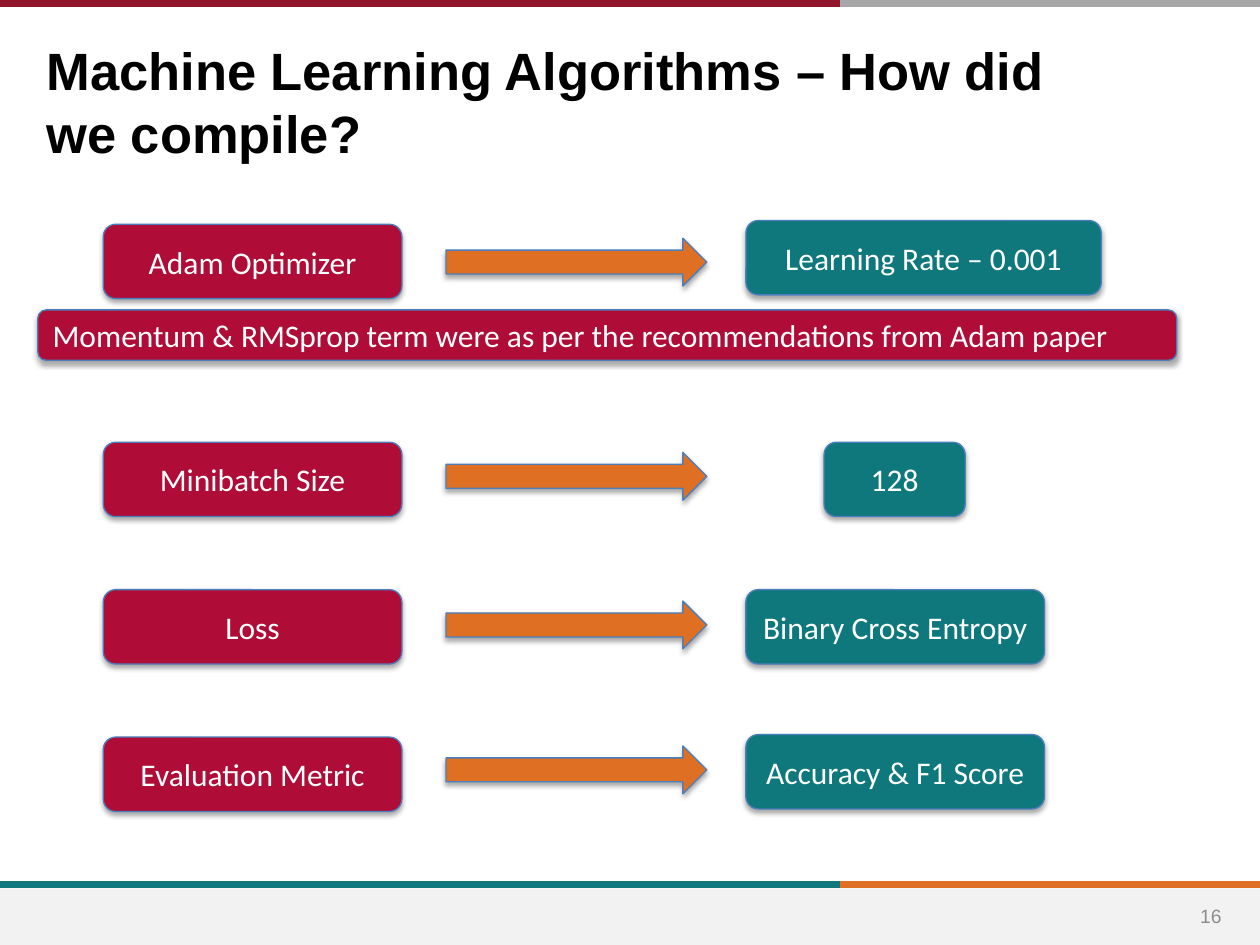
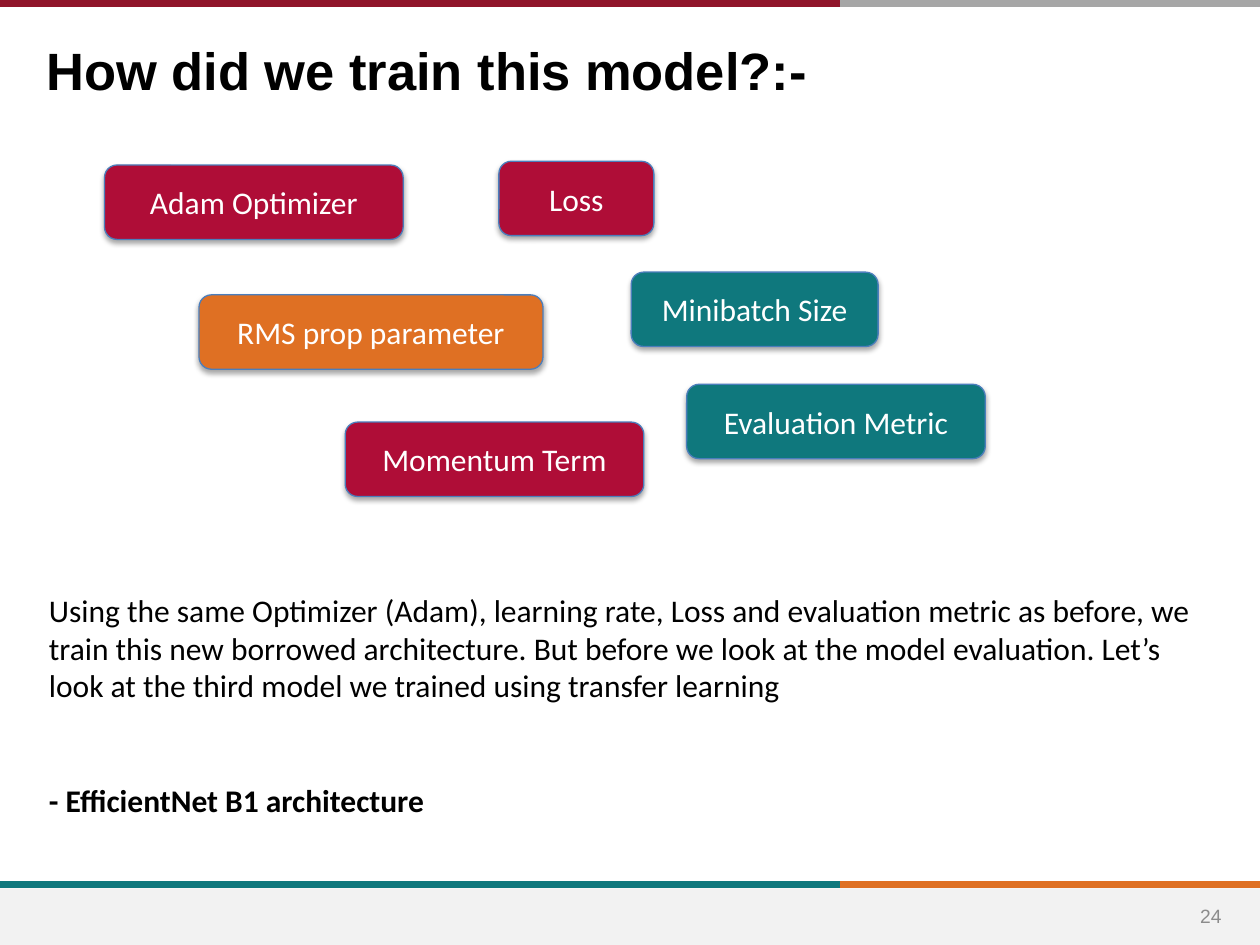
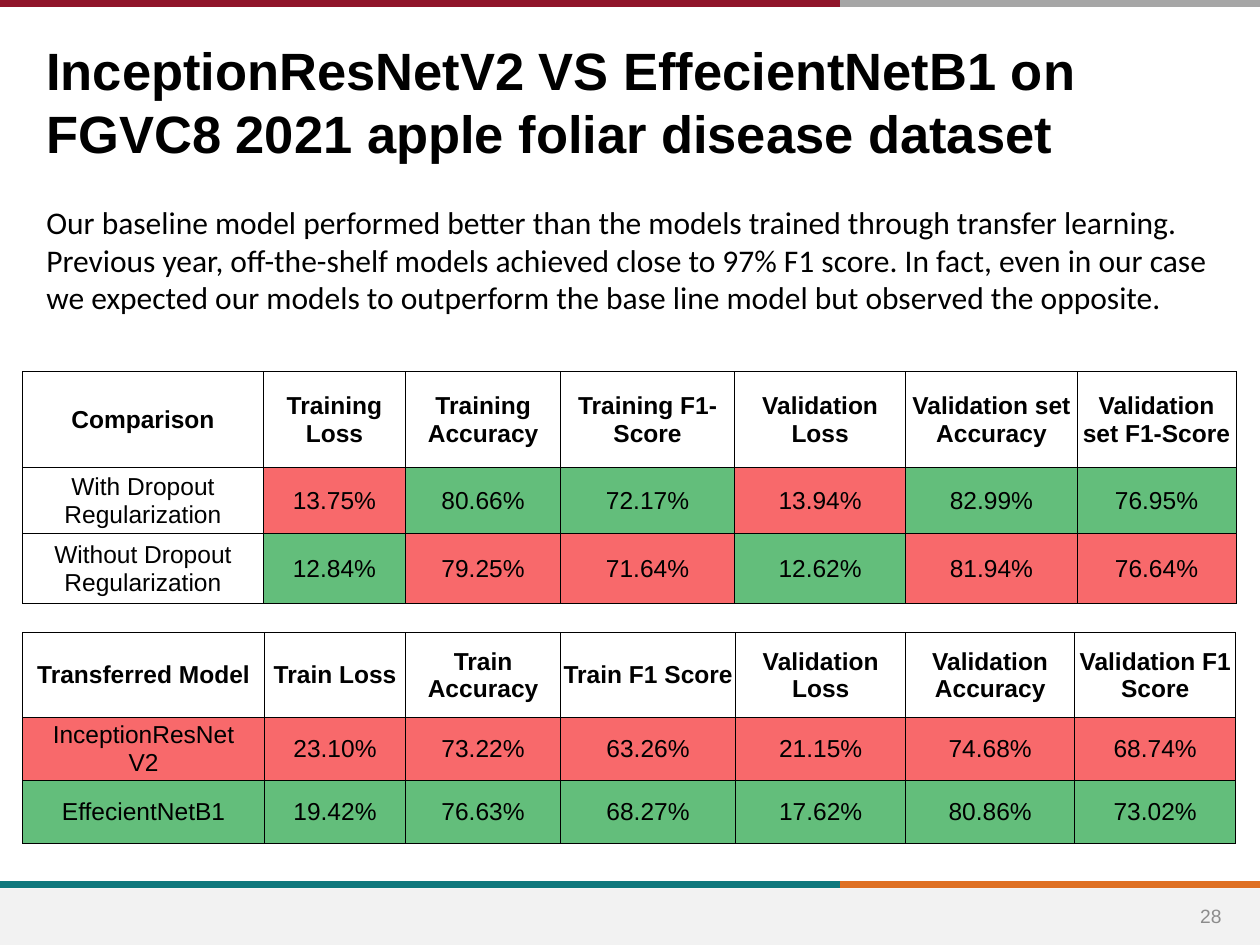
from dataclasses import dataclass

from lxml import etree
from pptx import Presentation
from pptx.dml.color import RGBColor
from pptx.enum.shapes import MSO_CONNECTOR, MSO_SHAPE
from pptx.enum.text import MSO_ANCHOR, MSO_AUTO_SIZE, PP_ALIGN
from pptx.oxml import parse_xml
from pptx.oxml.ns import nsdecls, qn
from pptx.util import Inches, Pt

STRAIGHT = MSO_CONNECTOR.STRAIGHT
RECTANGLE = MSO_SHAPE.RECTANGLE
ROUNDED = MSO_SHAPE.ROUNDED_RECTANGLE
RIGHT_ARROW = MSO_SHAPE.RIGHT_ARROW
TOP, MIDDLE = MSO_ANCHOR.TOP, MSO_ANCHOR.MIDDLE
LEFT, CENTER = PP_ALIGN.LEFT, PP_ALIGN.CENTER
GROW = MSO_AUTO_SIZE.SHAPE_TO_FIT_TEXT


@dataclass(frozen=True)
class Theme:
    black: str = "000000"
    white: str = "FFFFFF"
    crimson: str = "AF0D37"
    teal: str = "0F787D"
    orange: str = "DF7023"
    outline: str = "4B7EBC"
    dark_red: str = "90152A"
    gray: str = "A6A6A6"
    footer: str = "F2F2F2"
    page_number: str = "8C8C8C"
    better: str = "63BE7B"
    worse: str = "F8696B"
    heading_font: str = "Arial"
    body_font: str = "Calibri"
    title_size: float = 30
    title_leading: float = 36
    body_size: float = 18
    table_size: float = 14
    number_size: float = 11


THEME = Theme()
PAGE_WIDTH, PAGE_HEIGHT = 10, 7.5
BAND_SPLIT = 6.67
BOX_HEIGHT = 0.59
BOX_WIDTH = 2.37


def rgb(color):
    return RGBColor.from_string(color)


# Text
def add_span(para, text, size, font, color, bold=False):
    span = para.add_run()
    span.text = text
    span.font.size = Pt(size)
    span.font.name = font
    span.font.color.rgb = rgb(color)
    span.font.bold = bold


def add_text_box(page, left, top, width, height, anchor=TOP):
    box = page.shapes.add_textbox(Inches(left), Inches(top), Inches(width), Inches(height))
    frame = box.text_frame
    frame.word_wrap = True
    frame.vertical_anchor = anchor
    return frame


def add_body(page, left, top, width, height, text):
    frame = add_text_box(page, left, top, width, height)
    frame.auto_size = GROW
    add_span(frame.paragraphs[0], text, THEME.body_size, THEME.body_font, THEME.black)
    return frame


# Shapes
def add_band(page, start, end, y, color):
    band = page.shapes.add_connector(STRAIGHT, Inches(start), Inches(y), Inches(end), Inches(y))
    band.line.color.rgb = rgb(color)
    band.line.width = Pt(4)
    etree.SubElement(band._element.spPr, qn("a:effectLst"))


def add_soft_shadow(shape):
    shape._element.spPr.append(parse_xml(
        f'<a:effectLst {nsdecls("a")}>'
        f'<a:outerShdw blurRad="{Pt(3.1)}" dist="{Pt(1.8)}" dir="5400000" rotWithShape="0">'
        f'<a:srgbClr val="{THEME.black}"><a:alpha val="35000"/></a:srgbClr>'
        '</a:outerShdw></a:effectLst>'))


def add_block(page, kind, left, top, width, height, color):
    block = page.shapes.add_shape(kind, Inches(left), Inches(top), Inches(width), Inches(height))
    block.fill.solid()
    block.fill.fore_color.rgb = rgb(color)
    block.line.color.rgb = rgb(THEME.outline)
    block.line.width = Pt(0.75)
    add_soft_shadow(block)
    return block


def add_label(page, text, left, top, color, width=BOX_WIDTH, height=BOX_HEIGHT, align=CENTER):
    frame = add_block(page, ROUNDED, left, top, width, height, color).text_frame
    frame.word_wrap = True
    frame.vertical_anchor = MIDDLE
    para = frame.paragraphs[0]
    para.alignment = align
    add_span(para, text, THEME.body_size, THEME.body_font, THEME.white)


# Tables
def set_borders(cell):
    properties = cell._tc.get_or_add_tcPr()
    for position, side in enumerate(("lnL", "lnR", "lnT", "lnB")):
        properties.insert(position, parse_xml(
            f'<a:{side} {nsdecls("a")} w="{Pt(0.5)}"><a:solidFill>'
            f'<a:srgbClr val="{THEME.black}"/></a:solidFill></a:{side}>'))


def fill_cell(cell, text, color=None, bold=False):
    cell.margin_left = cell.margin_right = cell.margin_top = Inches(0.01)
    cell.margin_bottom = 0
    cell.vertical_anchor = MIDDLE
    if color:
        cell.fill.solid()
        cell.fill.fore_color.rgb = rgb(color)
    else:
        cell.fill.background()
    set_borders(cell)
    para = cell.text_frame.paragraphs[0]
    para.alignment = CENTER
    for index, line in enumerate(text.split("\n")):
        if index:
            para.add_line_break()
        add_span(para, line, THEME.table_size, THEME.heading_font, THEME.black, bold)


def score_color(header, value, column):
    """Green marks the lowest loss or the highest score of a column."""
    pick = min if "Loss" in header else max
    best = pick(column, key=lambda score: float(score.rstrip("%")))
    return THEME.better if value == best else THEME.worse


def add_score_table(page, left, top, widths, heights, headers, rows, label_colors):
    table = page.shapes.add_table(
        len(heights), len(widths), Inches(left), Inches(top),
        Inches(sum(widths)), Inches(sum(heights))).table
    table.first_row = table.horz_banding = False
    for column, width in zip(table.columns, widths):
        column.width = Inches(width)
    for row, height in zip(table.rows, heights):
        row.height = Inches(height)
    for c, header in enumerate(headers):
        fill_cell(table.cell(0, c), header, bold=True)
        scores = [row[c] for row in rows]
        for r, text in enumerate(scores):
            color = score_color(header, text, scores) if c else label_colors[r]
            fill_cell(table.cell(r + 1, c), text, color)


# Shared page frame
def add_page(deck, title, number, title_height):
    page = deck.slides.add_slide(deck.slide_layouts[6])
    add_band(page, BAND_SPLIT, PAGE_WIDTH, 7.02, THEME.orange)
    add_band(page, 0, BAND_SPLIT, 7.02, THEME.teal)
    footer = page.shapes.add_shape(
        RECTANGLE, 0, Inches(7.05), Inches(PAGE_WIDTH), Inches(0.45))
    footer.shadow.inherit = False
    footer.fill.solid()
    footer.fill.fore_color.rgb = rgb(THEME.footer)
    footer.line.fill.background()
    add_band(page, BAND_SPLIT, PAGE_WIDTH, 0.03, THEME.gray)
    add_band(page, 0, BAND_SPLIT, 0.03, THEME.dark_red)

    number_para = add_text_box(page, 9.35, 7.07, 0.52, 0.4, MIDDLE).paragraphs[0]
    number_para.alignment = CENTER
    add_span(number_para, str(number), THEME.number_size, THEME.heading_font, THEME.page_number)

    title_para = add_text_box(page, 0.27, 0.25, 8.62, title_height).paragraphs[0]
    title_para.line_spacing = Pt(THEME.title_leading)
    add_span(title_para, title, THEME.title_size, THEME.heading_font, THEME.black, True)
    return page


# Pages
def build_compile_page(deck):
    page = add_page(deck, "Machine Learning Algorithms – How did we compile?", 16, 1.11)
    # setting, its top, arrow top, value, value left, value top, value width
    settings = [
        ("Adam Optimizer", 1.78, 1.89, "Learning Rate – 0.001", 5.92, 1.75, 2.82),
        ("Minibatch Size", 3.51, 3.59, "128", 6.54, 3.51, 1.12),
        ("Loss", 4.68, 4.77, "Binary Cross Entropy", 5.92, 4.68, BOX_WIDTH),
        ("Evaluation Metric", 5.85, 5.92, "Accuracy & F1 Score", 5.92, 5.83, BOX_WIDTH),
    ]
    for setting, top, arrow_top, value, value_left, value_top, value_width in settings:
        add_label(page, setting, 0.82, top, THEME.crimson)
        add_block(page, RIGHT_ARROW, 3.54, arrow_top, 2.07, 0.38, THEME.orange)
        add_label(page, value, value_left, value_top, THEME.teal, value_width)
    add_label(page, "Momentum & RMSprop term were as per the recommendations from Adam paper",
              0.3, 2.46, THEME.crimson, 9.04, 0.4, LEFT)


def build_training_page(deck):
    page = add_page(deck, "How did we train this model?:-", 24, 0.78)
    frame = add_body(
        page, 0.29, 4.64, 9.46, 1.92,
        "Using the same Optimizer (Adam), learning rate, Loss and evaluation metric as before, "
        "we train this new borrowed architecture. But before we look at the model evaluation. "
        "Let’s look at the third model we trained using transfer learning")
    next_model = frame.add_paragraph()
    next_model.space_before = Pt(44)
    add_span(next_model, "- EfficientNet B1 architecture",
             THEME.body_size, THEME.body_font, THEME.black, True)
    for text, left, top, color, width in [
        ("Adam Optimizer", 0.83, 1.31, THEME.crimson, BOX_WIDTH),
        ("Loss", 3.96, 1.28, THEME.crimson, 1.23),
        ("Evaluation Metric", 5.45, 3.05, THEME.teal, BOX_WIDTH),
        ("Minibatch Size", 5.01, 2.16, THEME.teal, 1.96),
        ("RMS prop parameter", 1.58, 2.34, THEME.orange, 2.73),
        ("Momentum Term", 2.74, 3.35, THEME.crimson, BOX_WIDTH),
    ]:
        add_label(page, text, left, top, color, width)


def build_comparison_page(deck):
    page = add_page(
        deck, "InceptionResNetV2 VS EffecientNetB1 on FGVC8 2021 apple foliar disease dataset",
        28, 1.03)
    add_score_table(
        page, 0.18, 5.02, [1.92, 1.12, 1.23, 1.39, 1.35, 1.34, 1.28], [0.67, 0.5, 0.5],
        ["Transferred Model", "Train Loss", "Train Accuracy", "Train F1 Score",
         "Validation Loss", "Validation Accuracy", "Validation F1 Score"],
        [["InceptionResNet\nV2", "23.10%", "73.22%", "63.26%", "21.15%", "74.68%", "68.74%"],
         ["EffecientNetB1", "19.42%", "76.63%", "68.27%", "17.62%", "80.86%", "73.02%"]],
        [THEME.worse, THEME.better])
    add_body(
        page, 0.27, 1.56, 9.43, 1.31,
        "Our baseline model performed better than the models trained through transfer learning. "
        "Previous year, off-the-shelf models achieved close to 97% F1 score. In fact, even in "
        "our case we expected our models to outperform the base line model but observed the "
        "opposite.")
    add_score_table(
        page, 0.18, 2.95, [1.91, 1.13, 1.23, 1.38, 1.36, 1.36, 1.26], [0.76, 0.52, 0.56],
        ["Comparison", "Training Loss", "Training Accuracy", "Training F1-Score",
         "Validation Loss", "Validation set Accuracy", "Validation set F1-Score"],
        [["With Dropout Regularization",
          "13.75%", "80.66%", "72.17%", "13.94%", "82.99%", "76.95%"],
         ["Without Dropout Regularization",
          "12.84%", "79.25%", "71.64%", "12.62%", "81.94%", "76.64%"]],
        [None, None])


def main():
    deck = Presentation()
    deck.slide_width, deck.slide_height = Inches(PAGE_WIDTH), Inches(PAGE_HEIGHT)
    build_compile_page(deck)
    build_training_page(deck)
    build_comparison_page(deck)
    deck.save("out.pptx")


if __name__ == "__main__":
    main()
